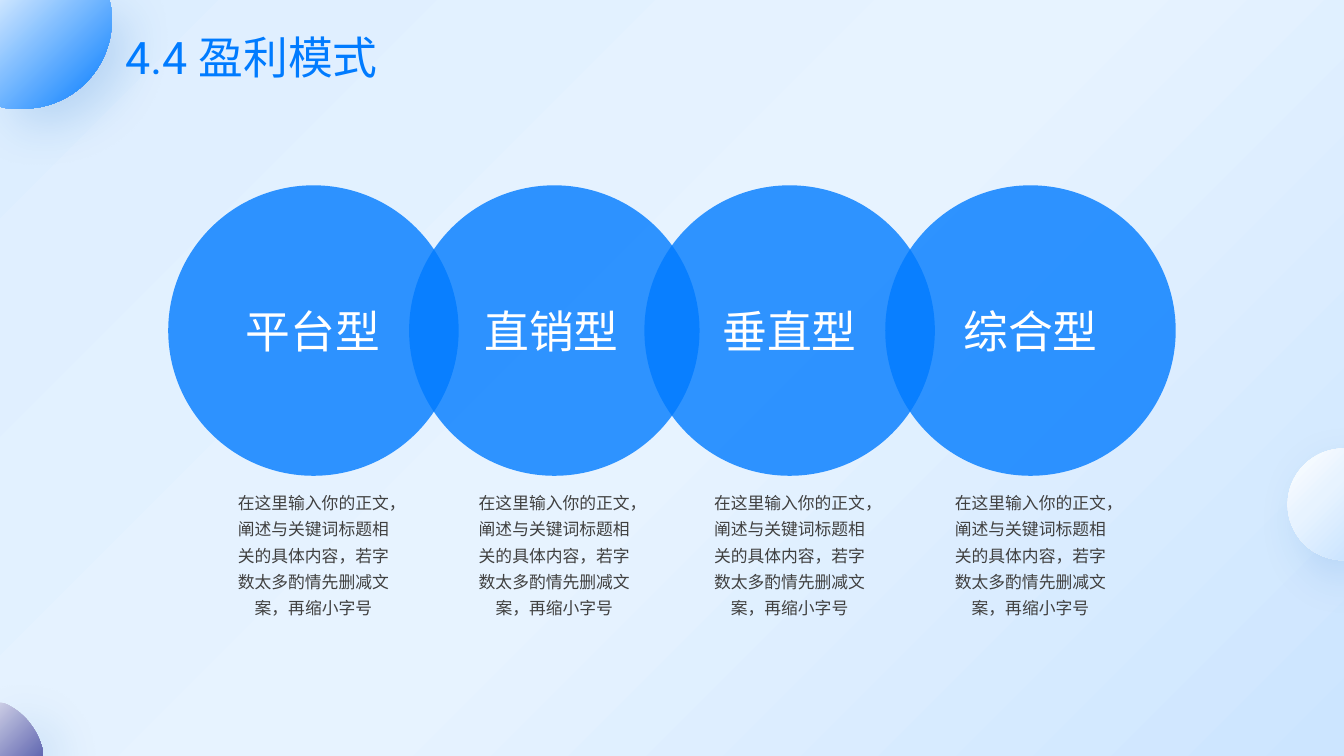
import lxml.etree
import pptx
import pptx.dml.color
import pptx.enum.shapes
import pptx.enum.text
import pptx.oxml.ns
import pptx.util

Cm = pptx.util.Cm
RGBColor = pptx.dml.color.RGBColor
Align = pptx.enum.text.PP_ALIGN
Anchor = pptx.enum.text.MSO_ANCHOR
qn = pptx.oxml.ns.qn

BLUE = RGBColor(0x00, 0x7B, 0xFF)
PALE_BLUE = RGBColor(0xCC, 0xE5, 0xFF)
ICE = RGBColor(0xE7, 0xF3, 0xFF)
MIST = RGBColor(0xDD, 0xEE, 0xFF)
LAVENDER = RGBColor(0xCB, 0xCD, 0xE5)
VIOLET = RGBColor(0x63, 0x69, 0xB2)
SHADOW_BLUE = RGBColor(0x00, 0x5C, 0xBF)
WHITE = RGBColor(0xFF, 0xFF, 0xFF)
GREY = RGBColor(0x40, 0x40, 0x40)

FONT = "Roboto"
PAGE_WIDTH, PAGE_HEIGHT = 33.87, 19.05
TEXT_WIDTH = 3.94
# name, left of circle, left of label
MODELS = [("平台型", 4.24, 5.92), ("直销型", 10.31, 11.93),
          ("垂直型", 16.24, 17.93), ("综合型", 22.31, 24.0)]
BODY_TEXT = "在这里输入你的正文，阐述与关键词标题相关的具体内容，若字数太多酌情先删减文案，再缩小字号"

# Outlines: a start point, then lines (one point) and curves (two handles, end)
TOP_BALL = [
    [(0, 0)], [(2.77, 0)], [(2.77, 0.05)],
    [(2.81, 0.2), (2.82, 0.35), (2.82, 0.5)],
    [(2.82, 1.74), (1.82, 2.74), (0.58, 2.74)],
    [(0.41, 2.74), (0.25, 2.74), (0.12, 2.72)], [(0, 2.69)]]
RIGHT_BALL = [
    [(PAGE_WIDTH, 14.12)],
    [(33.08, 14.12), (32.45, 13.49), (32.45, 12.71)],
    [(32.45, 11.93), (33.08, 11.3), (PAGE_WIDTH, 11.3)]]
BOTTOM_BALL = [
    [(0, 17.7)], [(0.13, 17.73)],
    [(0.58, 17.93), (0.94, 18.36), (1.07, 18.87)],
    [(1.07, PAGE_HEIGHT)], [(0, PAGE_HEIGHT)]]


def add_color(parent, color, alpha=None):
    node = lxml.etree.SubElement(parent, qn("a:srgbClr"), val=str(color))
    if alpha is not None:
        lxml.etree.SubElement(node, qn("a:alpha"), val=str(alpha * 1000))


def set_gradient(fill, element, stops):
    """Fill diagonally with (percent, colour) stops; element holds the fill's XML."""
    fill.gradient()
    fill.gradient_angle = 315
    stop_list = next(element.iter(qn("a:gsLst")))
    for stop in list(stop_list):
        stop_list.remove(stop)
    for percent, color in stops:
        stop = lxml.etree.SubElement(stop_list, qn("a:gs"), pos=str(percent * 1000))
        add_color(stop, color)


def add_soft_shadow(shape):
    shape.shadow.inherit = False
    effects = shape._element.spPr.find(qn("a:effectLst"))
    shadow = lxml.etree.SubElement(
        effects, qn("a:outerShdw"), blurRad=str(pptx.util.Pt(35)),
        dist=str(pptx.util.Pt(16)), dir=str(45 * 60000), algn="tl", rotWithShape="0")
    add_color(shadow, SHADOW_BLUE, 16)


def bend_lines(shape, segments):
    """Turn the lines of a freeform into curves where a segment has handles."""
    lines = list(shape._element.iter(qn("a:lnTo")))
    for line, segment in zip(lines, segments):
        if len(segment) == 1:
            continue
        curve = lxml.etree.Element(qn("a:cubicBezTo"))
        for x, y in segment:
            lxml.etree.SubElement(curve, qn("a:pt"), x=str(Cm(x) - shape.left),
                                  y=str(Cm(y) - shape.top))
        line.getparent().replace(line, curve)


def add_ball(page, outline, stops):
    anchors = [(Cm(x), Cm(y)) for x, y in (segment[-1] for segment in outline)]
    builder = page.shapes.build_freeform(*anchors[0])
    builder.add_line_segments(anchors[1:], close=True)
    ball = builder.convert_to_shape()
    bend_lines(ball, outline[1:])
    set_gradient(ball.fill, ball._element, stops)
    ball.line.fill.background()
    add_soft_shadow(ball)


def add_circle(page, left, top, size):
    circle = page.shapes.add_shape(
        pptx.enum.shapes.MSO_SHAPE.OVAL, Cm(left), Cm(top), Cm(size), Cm(size))
    circle.shadow.inherit = False
    circle.line.fill.background()
    circle.fill.solid()
    circle.fill.fore_color.rgb = BLUE
    color = circle._element.spPr.find(qn("a:solidFill")).find(qn("a:srgbClr"))
    lxml.etree.SubElement(color, qn("a:alpha"), val="80000")


def set_text(box, text, size, color, align=Align.CENTER, anchor=Anchor.TOP,
             spacing=1.0, wrap=True, inset=None):
    frame = box.text_frame
    frame.word_wrap = wrap
    frame.auto_size = pptx.enum.text.MSO_AUTO_SIZE.SHAPE_TO_FIT_TEXT
    frame.vertical_anchor = anchor
    if inset is not None:
        frame.margin_left = frame.margin_right = Cm(inset)
        frame.margin_top = frame.margin_bottom = Cm(inset)
    para = frame.paragraphs[0]
    para.alignment = align
    para.line_spacing = spacing
    para.space_before = pptx.util.Pt(0)
    span = para.add_run()
    span.text = text
    span.font.name = FONT
    span.font.size = pptx.util.Pt(size)
    span.font.color.rgb = color


def add_text(page, left, top, width, height, text, **text_format):
    box = page.shapes.add_textbox(Cm(left), Cm(top), Cm(width), Cm(height))
    set_text(box, text, **text_format)


def place_title(page, text):
    title = page.shapes.title
    title.left, title.top = Cm(2.9), Cm(0.67)
    title.width, title.height = Cm(8.05), Cm(1.68)
    set_text(title, text, size=32, color=BLUE, align=Align.LEFT,
             anchor=Anchor.MIDDLE, spacing=0.9)
    page.shapes._spTree.append(title._element)  # in front of the balls


def add_decoration(page):
    set_gradient(page.background.fill, page._element,
                 [(0, MIST), (52, ICE), (100, PALE_BLUE)])
    add_ball(page, TOP_BALL, [(0, PALE_BLUE), (100, BLUE)])
    add_ball(page, RIGHT_BALL, [(0, WHITE), (49, ICE), (100, PALE_BLUE)])
    add_ball(page, BOTTOM_BALL, [(0, LAVENDER), (100, VIOLET)])


def main():
    deck = pptx.Presentation()
    deck.slide_width, deck.slide_height = Cm(PAGE_WIDTH), Cm(PAGE_HEIGHT)
    page = deck.slides.add_slide(deck.slide_layouts.get_by_name("Title Only"))
    add_decoration(page)
    place_title(page, "4.4 盈利模式")
    for name, circle_left, label_left in MODELS:
        add_circle(page, circle_left, 4.67, 7.32)
    for name, circle_left, label_left in MODELS:
        add_text(page, label_left, 7.52, TEXT_WIDTH, 1.63,
                 name, size=32, color=WHITE, wrap=False)
    for name, circle_left, label_left in MODELS:
        add_text(page, circle_left + 1.69, 12.27, TEXT_WIDTH, 3.28, BODY_TEXT,
                 size=12, color=GREY, spacing=1.3, inset=0)
    deck.save("out.pptx")


if __name__ == "__main__":
    main()
